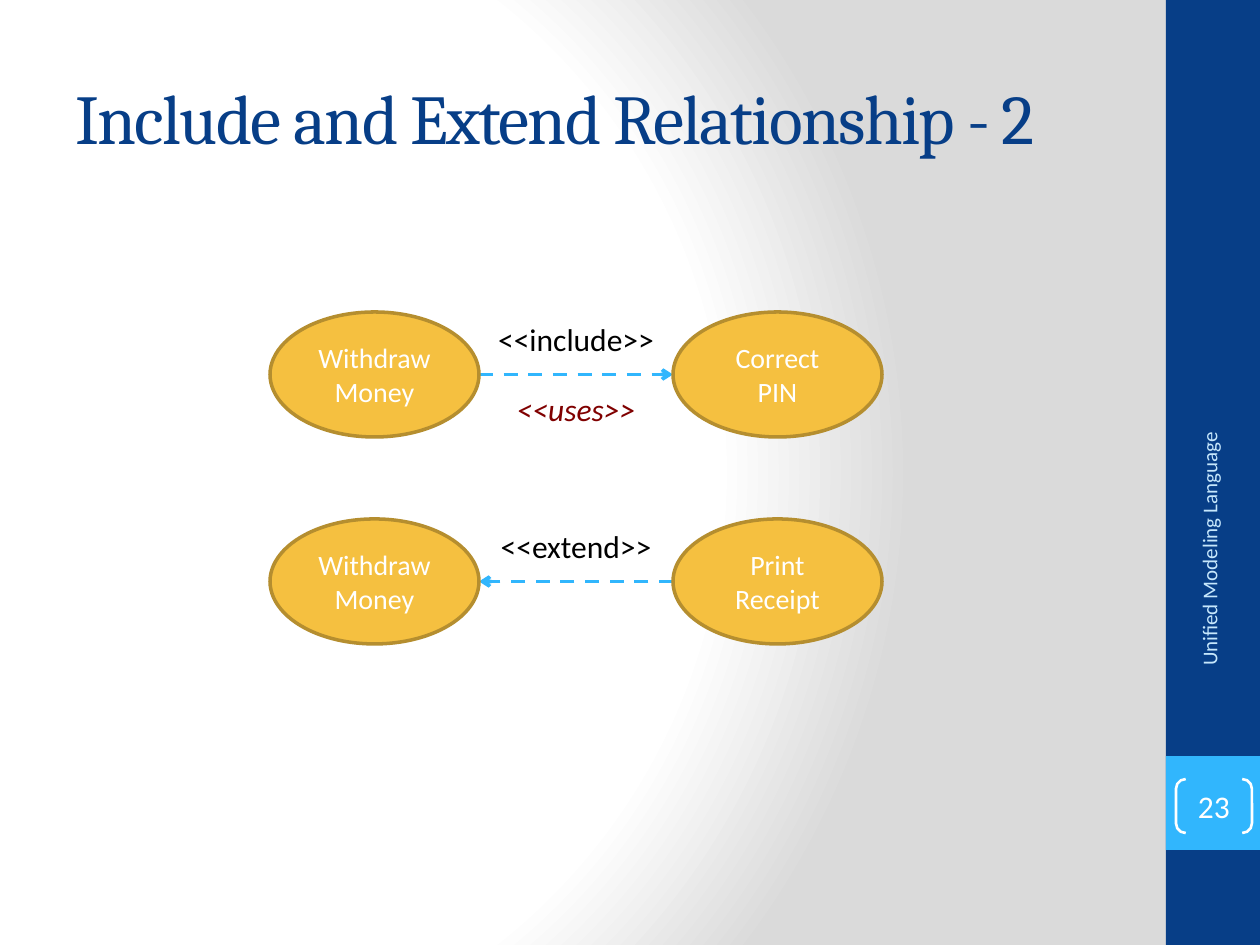
"""Build a UML slide on include and extend relationships."""
from lxml import etree
from pptx import Presentation
from pptx.dml.color import RGBColor
from pptx.enum.dml import MSO_LINE
from pptx.enum.shapes import MSO_CONNECTOR, MSO_SHAPE
from pptx.enum.text import MSO_ANCHOR, PP_ALIGN
from pptx.oxml import parse_xml
from pptx.oxml.ns import nsdecls, qn
from pptx.util import Pt

LEFT, CENTER, RIGHT = PP_ALIGN.LEFT, PP_ALIGN.CENTER, PP_ALIGN.RIGHT
TOP, MIDDLE = MSO_ANCHOR.TOP, MSO_ANCHOR.MIDDLE
RECT, OVAL, BRACKETS = MSO_SHAPE.RECTANGLE, MSO_SHAPE.OVAL, MSO_SHAPE.DOUBLE_BRACKET
STRAIGHT, DASH = MSO_CONNECTOR.STRAIGHT, MSO_LINE.DASH

TITLE = "Include and Extend Relationship - 2"
FOOTER = "Unified Modeling Language"
PAGE = "23"
RELATIONS = [
    {"left": "Withdraw Money", "right": "Correct PIN", "label": "<<include>>", "forward": True},
    {"left": "Withdraw Money", "right": "Print Receipt", "label": "<<extend>>", "forward": False},
]
SYNONYM = "<<uses>>"

COLORS = {
    "navy": "073E87", "sky": "31B6FD", "pale": "C6E7FC", "white": "FFFFFF", "gray": "DADADA",
    "gold": "F5C040", "bronze": "B58E2F", "black": "000000", "maroon": "800000",
}
BACKGROUND = [(0, "white"), (75, "white"), (100, "gray")]

SLIDE_W, SLIDE_H, BAR_X = 1260, 945, 1166
OVAL_X, OVAL_Y, OVAL_W, OVAL_H = 270, 312, 209, 125
GAP, ROW_STEP = 194, 207
LABEL_X, LABEL_H = OVAL_X + OVAL_W, 50


def px(n):
    return round(n * 914400 / 126)


def rgb(name):
    return RGBColor.from_string(COLORS[name])


def write(sp, text, size, color, align=CENTER, anchor=MIDDLE, font="Calibri"):
    tf = sp.text_frame
    tf.word_wrap = True
    tf.vertical_anchor = anchor
    tf.text = text
    p = tf.paragraphs[0]
    p.alignment = align
    r = p.runs[0]
    r.font.size, r.font.name = Pt(size), font
    r.font.color.rgb = rgb(color)
    return r


def add_text(shapes, box, *args, **style):
    sp = shapes.add_textbox(*map(px, box))
    return sp, write(sp, *args, **style)


def add_shape(shapes, kind, box, fill=None, line=None, width=2):
    sp = shapes.add_shape(kind, *map(px, box))
    sp.shadow.inherit = False
    if fill:
        sp.fill.solid()
        sp.fill.fore_color.rgb = rgb(fill)
    else:
        sp.fill.background()
    if line:
        sp.line.color.rgb = rgb(line)
        sp.line.width = Pt(width)
    else:
        sp.line.fill.background()
    return sp


def add_arrow(shapes, x1, x2, y):
    cxn = shapes.add_connector(STRAIGHT, px(x1), px(y), px(x2), px(y))
    cxn.line.color.rgb = rgb("sky")
    cxn.line.width = Pt(2)
    cxn.line.dash_style = DASH
    etree.SubElement(cxn.line._get_or_add_ln(), qn("a:tailEnd"), type="arrow")
    etree.SubElement(cxn._element.spPr, qn("a:effectLst"))


def add_relation(s, relation, y):
    shapes = s.shapes.add_group_shape().shapes
    ends = [LABEL_X, LABEL_X + GAP]
    add_arrow(shapes, *(ends if relation["forward"] else ends[::-1]), y + OVAL_H / 2)
    for side, x in (("left", OVAL_X), ("right", LABEL_X + GAP)):
        sp = add_shape(shapes, OVAL, (x, y, OVAL_W, OVAL_H), "gold", "bronze")
        write(sp, relation[side], 16, "white")
    add_text(shapes, (LABEL_X, y + 2, GAP, LABEL_H), relation["label"], 18, "black", anchor=TOP)


def paint_background(s):
    s.background.fill.gradient()
    old = s._element.find(".//" + qn("a:gradFill"))
    stops = "".join(
        f'<a:gs pos="{pos * 1000}"><a:srgbClr val="{COLORS[name]}"/></a:gs>'
        for pos, name in BACKGROUND)
    grad = parse_xml(
        f'<a:gradFill {nsdecls("a")} rotWithShape="1"><a:gsLst>{stops}</a:gsLst>'
        '<a:path path="circle"><a:fillToRect l="20000" t="50000" r="100000" b="50000"/>'
        '</a:path></a:gradFill>')
    old.getparent().replace(old, grad)


def main():
    prs = Presentation()
    prs.slide_width, prs.slide_height = px(SLIDE_W), px(SLIDE_H)
    s = prs.slides.add_slide(prs.slide_layouts[6])
    paint_background(s)

    bar_w = SLIDE_W - BAR_X
    add_shape(s.shapes, RECT, (BAR_X, 0, bar_w, SLIDE_H), "navy")
    add_shape(s.shapes, RECT, (BAR_X, 756, bar_w, bar_w), "sky")

    _, r = add_text(s.shapes, (63, 38, 1050, 158), TITLE, 40, "navy", align=LEFT, font="Cambria")
    r._r.get_or_add_rPr().set("spc", "-100")
    sp, _ = add_text(s.shapes, (1046, 558, 326, 50), FOOTER, 12, "pale", align=RIGHT)
    sp.rotation = 270

    sp = add_shape(s.shapes, BRACKETS, (1176, 779, 76, 54), line="white", width=1.5)
    sp.adjustments[0] = 0.18
    write(sp, PAGE, 18, "white")
    tf = sp.text_frame
    tf.margin_left = tf.margin_right = tf.margin_top = tf.margin_bottom = 0

    for i, relation in enumerate(RELATIONS):
        add_relation(s, relation, OVAL_Y + i * ROW_STEP)
    _, r = add_text(s.shapes, (LABEL_X, 384, GAP, LABEL_H), SYNONYM, 18, "maroon", anchor=TOP)
    r.font.italic = True
    prs.save("out.pptx")


if __name__ == "__main__":
    main()
